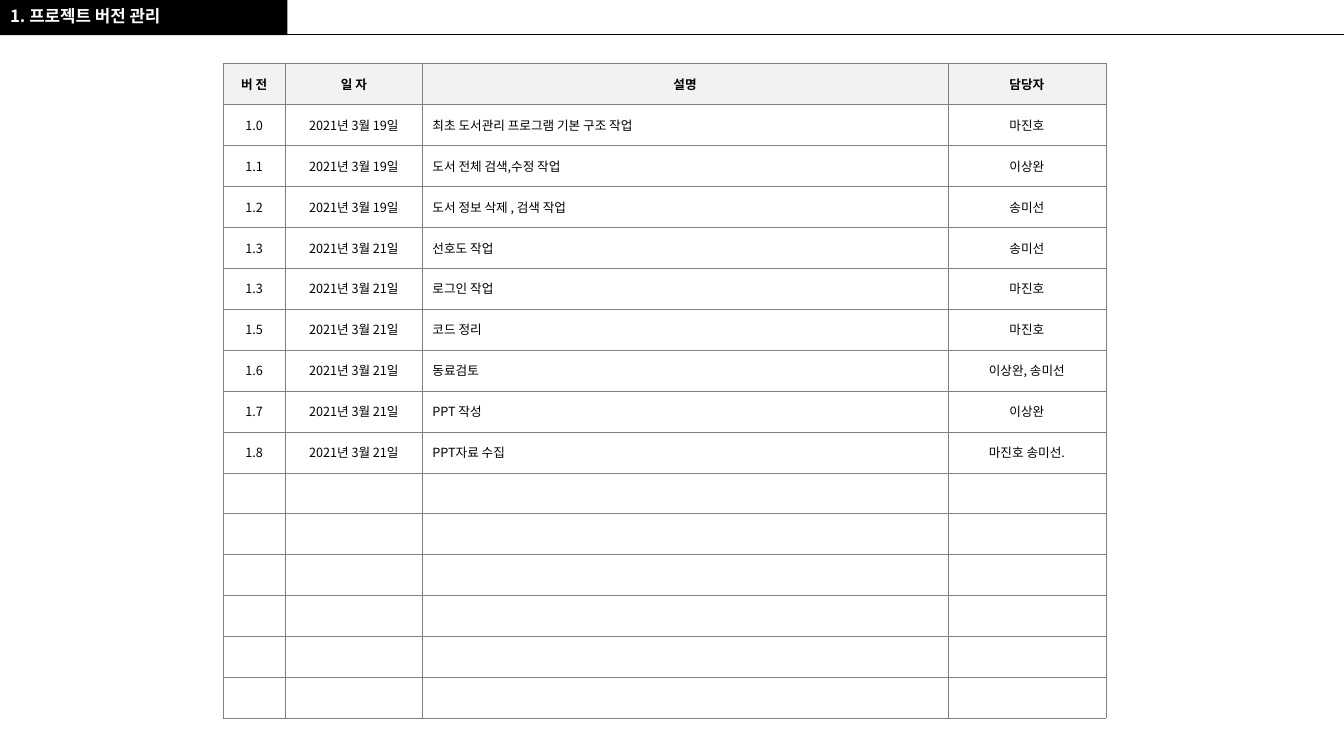
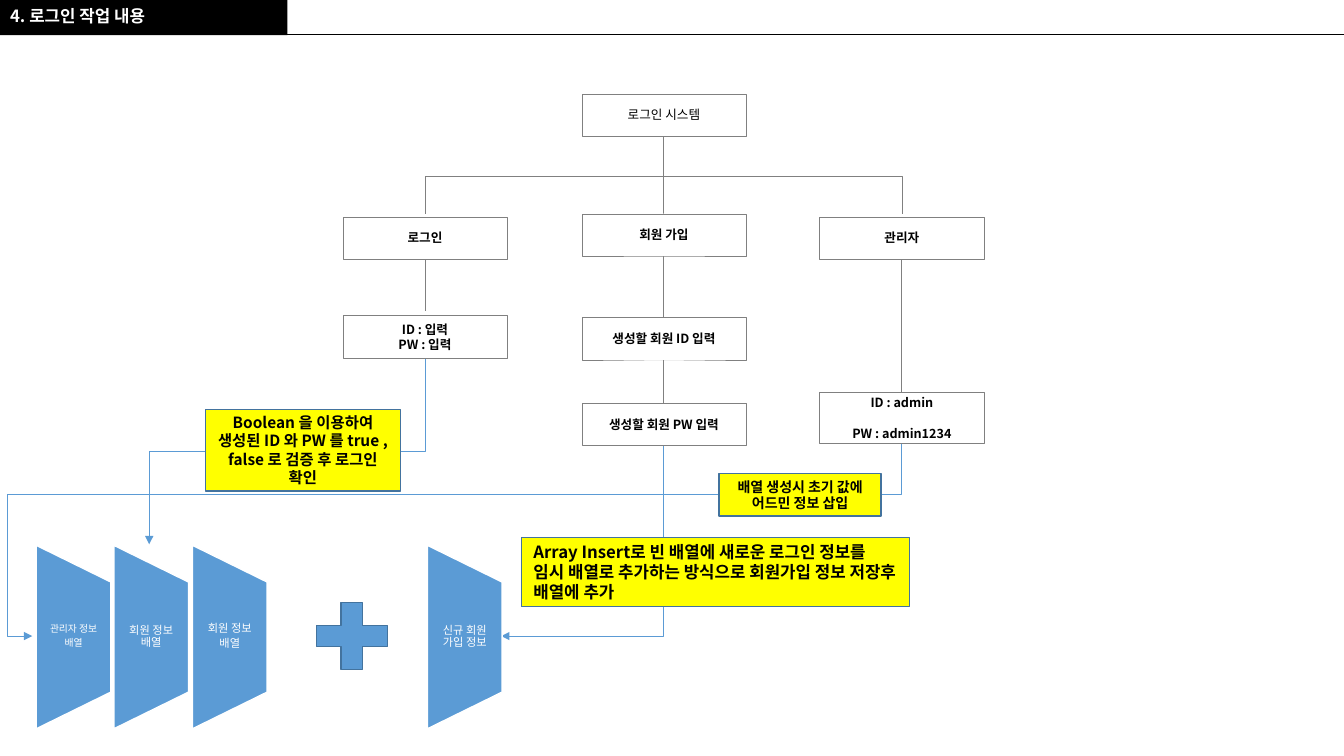
"""Build the version history and login flow slides of a library project deck."""
from dataclasses import dataclass

from lxml.etree import SubElement
from pptx import Presentation
from pptx.dml.color import RGBColor
from pptx.enum.shapes import MSO_CONNECTOR as Link, MSO_SHAPE as Preset
from pptx.enum.text import MSO_ANCHOR as Anchor, MSO_AUTO_SIZE as AutoSize, PP_ALIGN as Align
from pptx.oxml.ns import qn
from pptx.util import Inches, Pt

FONT = "Noto Sans CJK KR"
COLORS = {
    "black": "000000",
    "white": "FFFFFF",
    "gray": "808080",
    "header": "F2F2F2",
    "blue": "5B9BD5",
    "outline": "43739E",
    "yellow": "FFFF00",
}

VERSION_COLUMNS = (0.62, 1.36, 5.21, 1.57)
VERSION_ROW_COUNT = 16
VERSION_TABLE_HEIGHT = 6.5
VERSION_HEADINGS = ("버 전", "일 자", "설명", "담당자")
VERSIONS = (
    ("1.0", "2021년 3월 19일", "최초 도서관리 프로그램 기본 구조 작업", "마진호"),
    ("1.1", "2021년 3월 19일", "도서 전체 검색,수정 작업", "이상완"),
    ("1.2", "2021년 3월 19일", "도서 정보 삭제 , 검색 작업", "송미선"),
    ("1.3", "2021년 3월 21일", "선호도 작업", "송미선"),
    ("1.3", "2021년 3월 21일", "로그인 작업", "마진호"),
    ("1.5", "2021년 3월 21일", "코드 정리", "마진호"),
    ("1.6", "2021년 3월 21일", "동료검토", "이상완, 송미선"),
    ("1.7", "2021년 3월 21일", "PPT 작성", "이상완"),
    ("1.8", "2021년 3월 21일", "PPT자료 수집", "마진호 송미선."),
)


@dataclass(frozen=True)
class Step:
    left: float
    top: float
    lines: tuple[str, ...]
    height: float = 0.42
    bold: bool = True
    gap: float = 0


@dataclass(frozen=True)
class Note:
    left: float
    top: float
    width: float
    height: float
    text: str
    size: float
    align: Align = Align.CENTER


@dataclass(frozen=True)
class MemberArray:
    left: float
    lines: tuple[str, ...]
    size: float = 8


@dataclass(frozen=True)
class Flow:
    start: tuple[float, float]
    end: tuple[float, float]
    bend: str = ""
    color: str = "gray"
    arrow: bool = False
    adjustments: tuple[int, ...] = ()


LOGIN_X, JOIN_X, ADMIN_X = 3.4, 5.77, 8.13
STEP_WIDTH = 1.63
STEPS = (
    Step(JOIN_X, 0.93, ("로그인 시스템",), bold=False),
    Step(LOGIN_X, 2.15, ("로그인",)),
    Step(JOIN_X, 2.12, ("회원 가입",)),
    Step(ADMIN_X, 2.15, ("관리자",)),
    Step(LOGIN_X, 3.13, ("ID : 입력", "PW : 입력")),
    Step(JOIN_X, 3.15, ("생성할 회원 ID 입력",)),
    Step(JOIN_X, 4, ("생성할 회원 PW 입력",)),
    Step(ADMIN_X, 3.89, ("ID : admin", "PW : admin1234"), height=0.51, gap=11),
)
FLOWS = (
    Flow((6.58, 1.35), (6.58, 2.12)),
    Flow((6.58, 1.38), (8.95, 2.12), "bentConnector3"),
    Flow((6.58, 1.38), (4.22, 2.12), "bentConnector3"),
    Flow((6.58, 2.54), (6.58, 3.15)),
    Flow((8.94, 2.58), (8.94, 3.89)),
    Flow((4.22, 2.55), (4.22, 3.09)),
    Flow((6.58, 3.57), (6.58, 4)),
    Flow((6.58, 4.42), (4.97, 6.31), "bentConnector2", "blue", True),
    Flow((4.22, 3.55), (1.48, 5.4), "bentConnector3", "blue", True),
    Flow((8.94, 4.4), (0.32, 6.31), "bentConnector4", "blue", True, (26200, 102900)),
)
NOTES = (
    Note(5.17, 5.33, 3.85, 0.69,
         "Array Insert로 빈 배열에 새로운 로그인 정보를 임시 배열로 추가하는 방식으로 "
         "회원가입 정보 저장후 배열에 추가", 12, Align.LEFT),
    Note(2.04, 4.06, 1.93, 0.81,
         "Boolean 을 이용하여 생성된 ID 와 PW 를 true , false 로 검증 후 로그인 확인", 11),
    Note(7.13, 4.7, 1.61, 0.42, "배열 생성시 초기 값에 어드민 정보 삽입", 10),
)
STORED_ARRAYS = (
    MemberArray(0.36, ("관리자 정보", "배열"), 7),
    MemberArray(1.13, ("회원 정보 배열",)),
    MemberArray(1.91, ("회원 정보", "배열")),
)
NEW_ARRAY = MemberArray(4.24, ("신규 회원 가입 정보",))


def rgb(name: str) -> RGBColor:
    return RGBColor.from_string(COLORS[name])


def write(frame, lines: tuple[str, ...], size: float, color: str = "black", bold: bool = False,
          align: Align = Align.CENTER, spacing: float = 1, before: float = 0,
          after: float = 0) -> None:
    frame.word_wrap = True
    for index, line in enumerate(lines):
        paragraph = frame.add_paragraph() if index else frame.paragraphs[0]
        paragraph.alignment = align
        paragraph.line_spacing = spacing
        paragraph.space_before = Pt(before if index else 0)
        paragraph.space_after = Pt(after)
        run = paragraph.add_run()
        run.text = line
        run.font.name = FONT
        run.font.size = Pt(size)
        run.font.bold = bold
        run.font.color.rgb = rgb(color)


def add_preset(shapes, preset: Preset, left: float, top: float, width: float, height: float,
               fill: str, outline: str = "", weight: float = 1):
    shape = shapes.add_shape(preset, Inches(left), Inches(top), Inches(width), Inches(height))
    shape.shadow.inherit = False
    shape.fill.solid()
    shape.fill.fore_color.rgb = rgb(fill)
    if outline:
        shape.line.color.rgb = rgb(outline)
        shape.line.width = Pt(weight)
    else:
        shape.line.fill.background()
    return shape


def add_flow(shapes, flow: Flow):
    (x1, y1), (x2, y2) = flow.start, flow.end
    if flow.bend:
        run, drop = abs(x2 - x1), y2 - y1
        left, right = (x1 + x2 - drop) / 2, (x1 + x2 + drop) / 2
        top, bottom = (y1 + y2 - run) / 2, (y1 + y2 + run) / 2
        rightward = x2 > x1
        begin, finish = (right, left) if rightward else (left, right)
        connector = shapes.add_connector(Link.ELBOW, Inches(begin), Inches(top),
                                         Inches(finish), Inches(bottom))
        properties = connector.element.spPr
        properties.find(qn("a:xfrm")).set("rot", str((270 if rightward else 90) * 60000))
        geometry = properties.find(qn("a:prstGeom"))
        geometry.set("prst", flow.bend)
        for number, value in enumerate(flow.adjustments, 1):
            SubElement(geometry.find(qn("a:avLst")), qn("a:gd"),
                       name=f"adj{number}", fmla=f"val {value}")
    else:
        connector = shapes.add_connector(Link.STRAIGHT, Inches(x1), Inches(y1),
                                         Inches(x2), Inches(y2))
        properties = connector.element.spPr
    connector.line.color.rgb = rgb(flow.color)
    connector.line.width = Pt(0.5)
    if flow.arrow:
        SubElement(properties.find(qn("a:ln")), qn("a:tailEnd"), type="triangle")
    SubElement(properties, qn("a:effectLst"))
    return connector


def add_titled_slide(deck, heading: str):
    slide = deck.slides.add_slide(deck.slide_layouts[5])
    title = slide.shapes.title
    title.left, title.top = Inches(0), Inches(0.03)
    title.width, title.height = Inches(2.85), Inches(0.32)
    title.text_frame.vertical_anchor = Anchor.TOP
    title.text_frame.auto_size = AutoSize.NONE
    write(title.text_frame, (heading,), 12, "white", True, Align.LEFT, 0.9)
    band = add_preset(slide.shapes, Preset.RECTANGLE, 0, 0, 2.85, 0.35, "black")
    rule = add_flow(slide.shapes, Flow((2.76, 0.34), (13.33, 0.34), color="black"))
    for backdrop in (band, rule):
        title.element.addprevious(backdrop.element)
    return slide


def add_borders(cell) -> None:
    properties = cell._tc.get_or_add_tcPr()
    for side in ("lnL", "lnR", "lnT", "lnB"):
        border = SubElement(properties, qn(f"a:{side}"), w=str(Pt(0.25)))
        paint = SubElement(border, qn("a:solidFill"))
        SubElement(paint, qn("a:srgbClr"), val=COLORS["gray"])


def add_version_table(slide) -> None:
    table = slide.shapes.add_table(
        VERSION_ROW_COUNT, len(VERSION_COLUMNS), Inches(2.21), Inches(0.63),
        Inches(sum(VERSION_COLUMNS)), Inches(VERSION_TABLE_HEIGHT)).table
    table.first_row = table.horz_banding = False
    for column, width in zip(table.columns, VERSION_COLUMNS):
        column.width = Inches(width)
    entries = (VERSION_HEADINGS,) + VERSIONS
    for row_index, row in enumerate(table.rows):
        row.height = Inches(VERSION_TABLE_HEIGHT / VERSION_ROW_COUNT)
        is_header = row_index == 0
        for column_index, cell in enumerate(row.cells):
            add_borders(cell)
            cell.vertical_anchor = Anchor.MIDDLE
            if is_header:
                cell.fill.solid()
                cell.fill.fore_color.rgb = rgb("header")
            else:
                cell.fill.background()
            if row_index < len(entries):
                align = Align.LEFT if column_index == 2 and not is_header else Align.CENTER
                write(cell.text_frame, (entries[row_index][column_index],), 9,
                      bold=is_header, align=align)
            else:
                SubElement(cell.text_frame.paragraphs[0]._p, qn("a:endParaRPr"), sz="900")


def add_step(shapes, step: Step) -> None:
    box = add_preset(shapes, Preset.RECTANGLE, step.left, step.top, STEP_WIDTH, step.height,
                     "white", "gray", 0.25)
    box.text_frame.vertical_anchor = Anchor.MIDDLE
    write(box.text_frame, step.lines, 9, bold=step.bold, before=step.gap)


def add_note(shapes, note: Note) -> None:
    box = add_preset(shapes, Preset.RECTANGLE, note.left, note.top, note.width, note.height,
                     "yellow", "outline")
    box.text_frame.vertical_anchor = Anchor.MIDDLE
    if note.align == Align.LEFT:
        box.text_frame.margin_left = Inches(0.12)
    write(box.text_frame, (note.text,), note.size, bold=True, align=note.align)


def add_member_array(shapes, array: MemberArray) -> None:
    length, depth = 1.82, 0.74
    panel = add_preset(shapes, Preset.FLOWCHART_MANUAL_OPERATION,
                       array.left + (depth - length) / 2, 5.95, length, depth, "blue", "white")
    panel.rotation = 270
    label = shapes.add_textbox(Inches(array.left), Inches(5.77), Inches(depth), Inches(1.09))
    frame = label.text_frame
    frame.vertical_anchor = Anchor.MIDDLE
    frame.margin_left = frame.margin_right = Inches(0.05)
    frame.margin_top = frame.margin_bottom = Inches(0)
    write(frame, array.lines, array.size, "white", spacing=0.9, after=2.5)


def add_login_flow(slide) -> None:
    shapes = slide.shapes
    for flow in FLOWS:
        add_flow(shapes, flow)
    for step in STEPS:
        add_step(shapes, step)
    stored = shapes.add_group_shape()
    for array in STORED_ARRAYS:
        add_member_array(stored.shapes, array)
    add_preset(shapes, Preset.MATH_PLUS, 3.01, 5.86, 0.96, 0.9, "blue", "outline")
    add_member_array(shapes.add_group_shape().shapes, NEW_ARRAY)
    for note in NOTES:
        add_note(shapes, note)


def main() -> None:
    deck = Presentation()
    deck.slide_width, deck.slide_height = Inches(13.33), Inches(7.5)
    add_version_table(add_titled_slide(deck, "1. 프로젝트 버전 관리"))
    add_login_flow(add_titled_slide(deck, "4. 로그인 작업 내용"))
    for slide in deck.slides:
        for latin in list(slide.element.iter(qn("a:latin"))):
            korean = SubElement(latin.getparent(), qn("a:ea"), typeface=FONT)
            latin.addnext(korean)
    deck.save("out.pptx")


if __name__ == "__main__":
    main()
